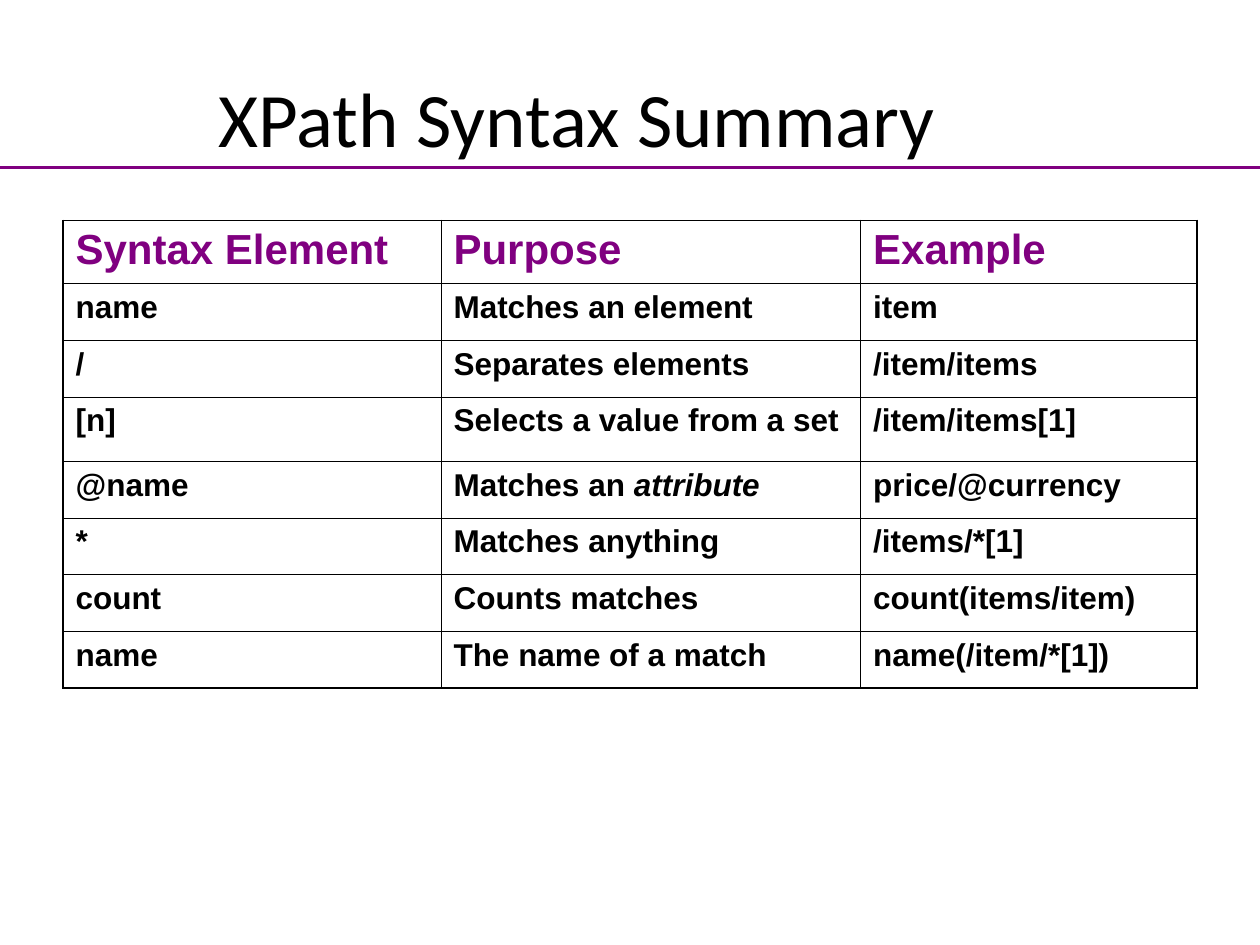
from lxml.etree import SubElement
from pptx import Presentation
from pptx.dml.color import RGBColor
from pptx.enum.shapes import MSO_CONNECTOR
from pptx.enum.text import MSO_ANCHOR, PP_ALIGN
from pptx.oxml.ns import qn
from pptx.util import Inches, Pt

INK = {"text": "000000", "accent": "800080", "edge": "000000"}
TITLE = {"name": "Calibri", "size": Pt(44), "bold": False}
HEAD = {"name": "Arial", "size": Pt(24), "bold": True}
BODY = {"name": "Arial", "size": Pt(18), "bold": True}
THICK, THIN = Pt(1.08), Pt(0.45)

COLS = [3, 3.33, 2.67]
TALL = {0: 0.5, 3: 0.51}  # all other rows are 0.45 high
ROWS = [
    ["Syntax Element", "Purpose", "Example"],
    ["name", "Matches an element", "item"],
    ["/", "Separates elements", "/item/items"],
    ["[n]", "Selects a value from a set", "/item/items[1]"],
    ["@name", ("Matches an ", "attribute"), "price/@currency"],
    ["*", "Matches anything", "/items/*[1]"],
    ["count", "Counts matches", "count(items/item)"],
    ["name", "The name of a match", "name(/item/*[1])"],
]


def write(para, text, form, ink):
    """Add text to a paragraph; the second part of a pair is italic."""
    parts = (text,) if isinstance(text, str) else text
    for i, part in enumerate(parts):
        run = para.add_run()
        run.text = part
        for key, val in form.items():
            setattr(run.font, key, val)
        run.font.italic = i == 1
        run.font.color.rgb = RGBColor.from_string(INK[ink])


def edge(cell, widths):
    """Draw the left, right, top and bottom borders of a cell."""
    props = cell._tc.get_or_add_tcPr()
    for i, (side, width) in enumerate(zip("LRTB", widths)):
        line = SubElement(props, qn(f"a:ln{side}"), w=str(width))
        fill = SubElement(line, qn("a:solidFill"))
        SubElement(fill, qn("a:srgbClr"), val=INK["edge"])
        props.insert(i, line)


prs = Presentation()
prs.slide_width, prs.slide_height = Inches(10), Inches(7.5)
slide = prs.slides.add_slide(prs.slide_layouts[6])
shapes = slide.shapes

# Title
box = shapes.add_textbox(Inches(0.08), Inches(0.3), Inches(9), Inches(1.25))
frame = box.text_frame
frame.word_wrap = True
frame.vertical_anchor = MSO_ANCHOR.MIDDLE
frame.paragraphs[0].alignment = PP_ALIGN.CENTER
write(frame.paragraphs[0], "XPath Syntax Summary", TITLE, "text")

# Syntax table
highs = [TALL.get(i, 0.45) for i in range(len(ROWS))]
table = shapes.add_table(
    len(ROWS), len(COLS), Inches(0.5), Inches(1.75),
    Inches(sum(COLS)), Inches(sum(highs))).table
table.first_row = table.horz_banding = False
for col, wide in zip(table.columns, COLS):
    col.width = Inches(wide)
for row, high in zip(table.rows, highs):
    row.height = Inches(high)

for r, texts in enumerate(ROWS):
    form, ink = (HEAD, "accent") if r == 0 else (BODY, "text")
    for c, text in enumerate(texts):
        cell = table.cell(r, c)
        cell.fill.background()
        outer = [c == 0, c == len(COLS) - 1, r == 0, r == len(ROWS) - 1]
        edge(cell, [THICK if out else THIN for out in outer])
        write(cell.text_frame.paragraphs[0], text, form, ink)

# Rule below the title
rule = shapes.add_connector(
    MSO_CONNECTOR.STRAIGHT, 0, Inches(1.33), Inches(10), Inches(1.33))
rule.line.color.rgb = RGBColor.from_string(INK["accent"])
rule.line.width = Pt(1.5)
SubElement(rule._element.spPr, qn("a:effectLst"))

prs.save("out.pptx")
